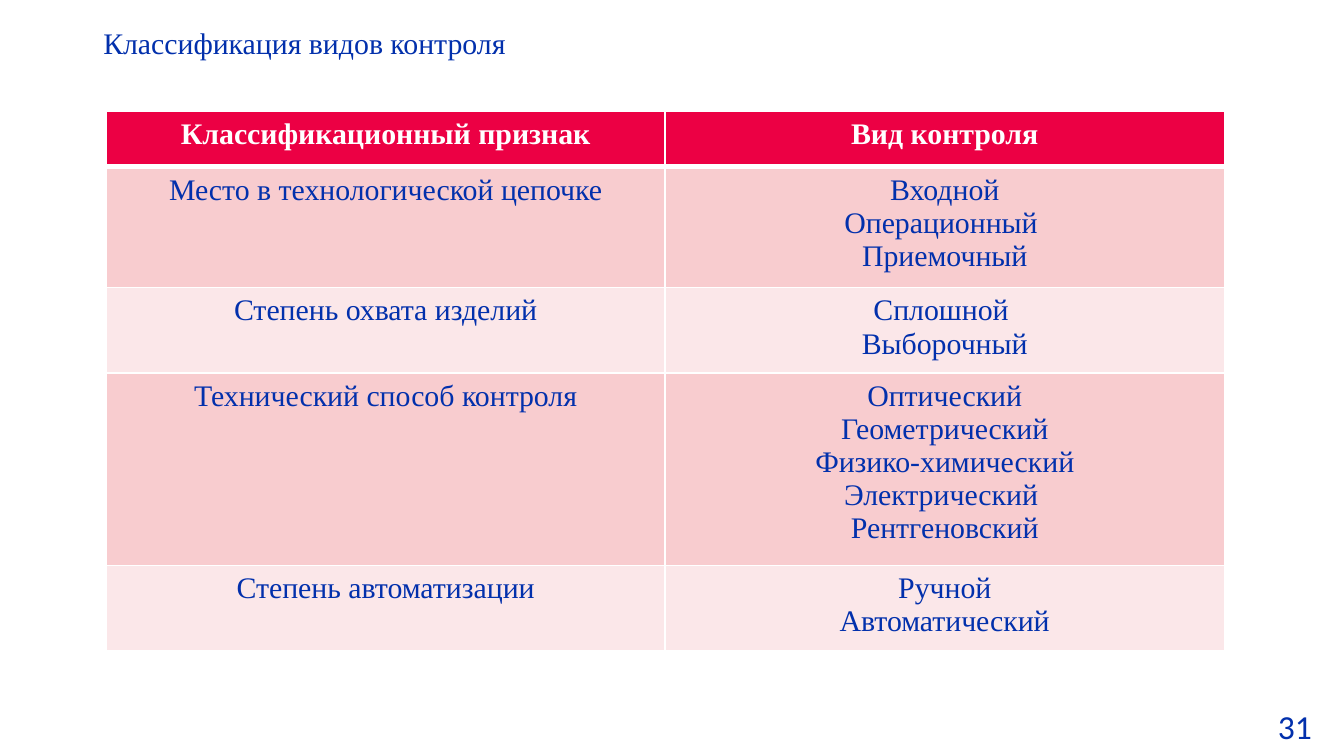
"""Build a slide with a table that classifies kinds of quality control."""
from pptx import Presentation
from pptx.dml.color import RGBColor
from pptx.enum.text import MSO_ANCHOR, PP_ALIGN
from pptx.oxml.ns import qn
from pptx.util import Inches, Pt
from lxml.etree import SubElement

TITLE = "Классификация видов контроля"
PAGE_NUMBER = "31"
HEADER = ("Классификационный признак", ["Вид контроля"])
CATEGORIES = [
    ("Место в технологической цепочке", ["Входной", "Операционный ", "Приемочный"]),
    ("Степень охвата изделий", ["Сплошной ", "Выборочный"]),
    (
        "Технический способ контроля",
        ["Оптический", "Геометрический", "Физико-химический", "Электрический ", "Рентгеновский"],
    ),
    ("Степень автоматизации", ["Ручной", "Автоматический"]),
]
SLIDE_WIDTH = 10
SLIDE_HEIGHT = SLIDE_WIDTH * 9 / 16
ROW_HEIGHTS = [0.41, 0.9, 0.63, 1.43, 0.63]
COLUMN_WIDTH = 4.16

BLUE = RGBColor(0x02, 0x30, 0xAC)
WHITE = RGBColor(0xFF, 0xFF, 0xFF)
RED = RGBColor(0xEC, 0x00, 0x44)
PINK = RGBColor(0xF8, 0xCC, 0xCF)
PALE_PINK = RGBColor(0xFB, 0xE7, 0xE9)


def add_run(paragraph, text, size=16, font="Times New Roman", color=BLUE, bold=False):
    run = paragraph.add_run()
    run.text = text
    run.font.size = Pt(size)
    run.font.name = font
    run.font.color.rgb = color
    run.font.bold = bold


def add_borders(cell, widths):
    properties = cell._tc.get_or_add_tcPr()
    for side, width in widths.items():
        line = SubElement(properties, qn(f"a:ln{side}"), w=str(Pt(width)))
        fill = SubElement(line, qn("a:solidFill"))
        SubElement(fill, qn("a:srgbClr"), val=str(WHITE))


def fill_cell(cell, lines, fill, color, bold, widths):
    add_borders(cell, widths)
    cell.fill.solid()
    cell.fill.fore_color.rgb = fill
    frame = cell.text_frame
    for index, line in enumerate(lines):
        paragraph = frame.add_paragraph() if index else frame.paragraphs[0]
        paragraph.alignment = PP_ALIGN.CENTER
        add_run(paragraph, line, color=color, bold=bold)


def add_title(slide):
    box = slide.shapes.add_textbox(Inches(0.17), Inches(0), Inches(4.89), Inches(0.55))
    box.fill.solid()
    box.fill.fore_color.rgb = WHITE
    box.text_frame.word_wrap = True
    box.text_frame.vertical_anchor = MSO_ANCHOR.TOP
    paragraph = box.text_frame.paragraphs[0]
    paragraph.alignment = PP_ALIGN.JUSTIFY
    paragraph.line_spacing = 1.5
    paragraph._p.get_or_add_pPr().set("indent", str(Inches(0.5)))
    add_run(paragraph, TITLE)


def add_page_number(slide):
    box = slide.shapes.add_textbox(Inches(9.41), Inches(5.2), Inches(0.59), Inches(0.4))
    box.text_frame.word_wrap = True
    add_run(box.text_frame.paragraphs[0], PAGE_NUMBER, size=18, font="Calibri")


def add_control_table(slide):
    rows = [HEADER] + CATEGORIES
    frame = slide.shapes.add_table(
        len(rows), 2, Inches(0.79), Inches(0.83),
        Inches(2 * COLUMN_WIDTH), Inches(sum(ROW_HEIGHTS)),
    )
    table = frame.table
    for column in table.columns:
        column.width = Inches(COLUMN_WIDTH)
    for index, (feature, kinds) in enumerate(rows):
        table.rows[index].height = Inches(ROW_HEIGHTS[index])
        is_header = index == 0
        fill = RED if is_header else (PALE_PINK, PINK)[index % 2]
        color = WHITE if is_header else BLUE
        widths = {"L": 1, "R": 1, "T": 3 if index == 1 else 1, "B": 3 if is_header else 1}
        for column, lines in enumerate(([feature], kinds)):
            fill_cell(table.cell(index, column), lines, fill, color, is_header, widths)


def main():
    presentation = Presentation()
    presentation.slide_width = Inches(SLIDE_WIDTH)
    presentation.slide_height = Inches(SLIDE_HEIGHT)
    slide = presentation.slides.add_slide(presentation.slide_layouts[6])
    add_title(slide)
    add_page_number(slide)
    add_control_table(slide)
    presentation.save("out.pptx")


if __name__ == "__main__":
    main()
